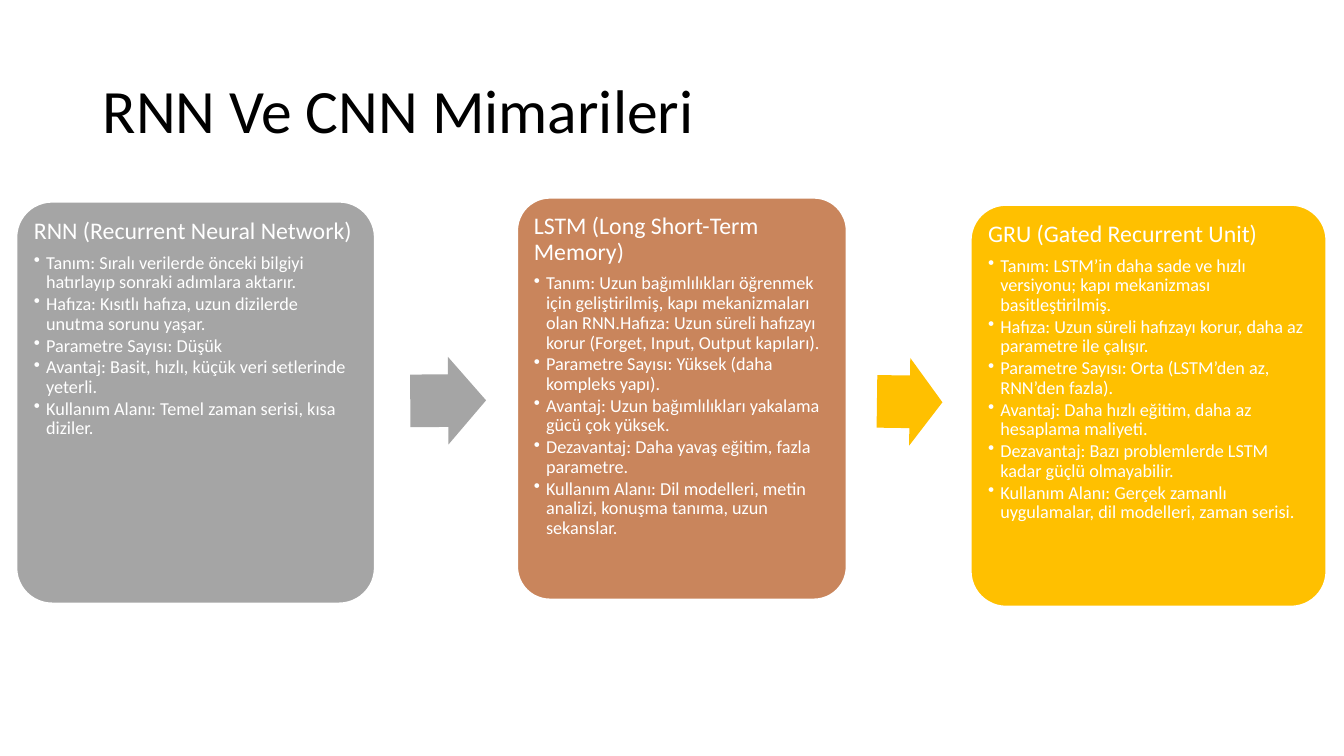
from lxml import etree
from pptx import Presentation
from pptx.dml.color import RGBColor
from pptx.enum.shapes import MSO_SHAPE
from pptx.enum.text import MSO_ANCHOR, PP_ALIGN
from pptx.oxml.ns import qn
from pptx.util import Cm, Pt

ROUNDED, ARROW = MSO_SHAPE.ROUNDED_RECTANGLE, MSO_SHAPE.RIGHT_ARROW
TOP, MIDDLE, LEFT = MSO_ANCHOR.TOP, MSO_ANCHOR.MIDDLE, PP_ALIGN.LEFT
BLACK = RGBColor(0x00, 0x00, 0x00)
WHITE = RGBColor(0xFF, 0xFF, 0xFF)
GREY = RGBColor(0xA5, 0xA5, 0xA5)
COPPER = RGBColor(0xC9, 0x85, 0x5C)
GOLD = RGBColor(0xFF, 0xC0, 0x00)
FONT = "Calibri"

TITLE = "RNN Ve CNN Mimarileri"
# Lengths in cm: left, top, width
CARDS = [
    {
        "place": (0.41, 5.08, 9.04),
        "color": GREY,
        "heading": "RNN (Recurrent Neural Network)",
        "points": [
            "Tanım: Sıralı verilerde önceki bilgiyi hatırlayıp sonraki adımlara aktarır.",
            "Hafıza: Kısıtlı hafıza, uzun dizilerde unutma sorunu yaşar.",
            "Parametre Sayısı: Düşük",
            "Avantaj: Basit, hızlı, küçük veri setlerinde yeterli.",
            "Kullanım Alanı: Temel zaman serisi, kısa diziler.",
        ],
    },
    {
        "place": (13.03, 4.98, 8.31),
        "color": COPPER,
        "heading": "LSTM (Long Short-Term Memory)",
        "points": [
            "Tanım: Uzun bağımlılıkları öğrenmek için geliştirilmiş, kapı mekanizmaları "
            "olan RNN.Hafıza: Uzun süreli hafızayı korur (Forget, Input, Output kapıları).",
            "Parametre Sayısı: Yüksek (daha kompleks yapı).",
            "Avantaj: Uzun bağımlılıkları yakalama gücü çok yüksek.",
            "Dezavantaj: Daha yavaş eğitim, fazla parametre.",
            "Kullanım Alanı: Dil modelleri, metin analizi, konuşma tanıma, uzun sekanslar.",
        ],
    },
    {
        "place": (24.46, 5.16, 8.97),
        "color": GOLD,
        "heading": "GRU (Gated Recurrent Unit)",
        "points": [
            "Tanım: LSTM’in daha sade ve hızlı versiyonu; kapı mekanizması basitleştirilmiş.",
            "Hafıza: Uzun süreli hafızayı korur, daha az parametre ile çalışır.",
            "Parametre Sayısı: Orta (LSTM’den az, RNN’den fazla).",
            "Avantaj: Daha hızlı eğitim, daha az hesaplama maliyeti.",
            "Dezavantaj: Bazı problemlerde LSTM kadar güçlü olmayabilir.",
            "Kullanım Alanı: Gerçek zamanlı uygulamalar, dil modelleri, zaman serisi.",
        ],
    },
]
# Left, top, width in cm, then rotation in degrees
ARROWS = [(10.34, 8.99, 1.91, 359.6, GREY), (22.1, 9.02, 1.65, 0.8, GOLD)]
CARD_HEIGHT, ARROW_HEIGHT = 10.13, 2.21
INSET, INDENT = 0.18, 0.31


def add_filled(page, kind, place, height, color):
    left, top, width = place
    shape = page.shapes.add_shape(kind, Cm(left), Cm(top), Cm(width), Cm(height))
    shape.shadow.inherit = False
    shape.fill.solid()
    shape.fill.fore_color.rgb = color
    shape.line.fill.background()
    return shape


def write(para, text, size, color, space_after=0):
    para.alignment = LEFT
    para.line_spacing = 0.9
    para.space_after = Pt(space_after)
    span = para.add_run()
    span.text = text
    span.font.name = FONT
    span.font.size = Pt(size)
    span.font.color.rgb = color


def add_bullet(para):
    properties = para._p.get_or_add_pPr()
    properties.set("marL", str(Cm(INDENT)))
    properties.set("indent", str(-Cm(INDENT)))
    etree.SubElement(properties, qn("a:buChar"), char="•")


def add_card(page, card):
    box = add_filled(page, ROUNDED, card["place"], CARD_HEIGHT, card["color"])
    box.adjustments[0] = 0.1
    box.line.color.rgb = WHITE
    box.line.width = Pt(1.5)
    frame = box.text_frame
    frame.word_wrap = True
    frame.vertical_anchor = TOP
    frame.margin_left = frame.margin_right = Cm(INSET)
    frame.margin_top = frame.margin_bottom = Cm(INSET)
    write(frame.paragraphs[0], card["heading"], 17, WHITE, 6)
    for point in card["points"]:
        para = frame.add_paragraph()
        write(para, point, 13, WHITE, 1.5)
        add_bullet(para)


def main():
    deck = Presentation()
    deck.slide_width, deck.slide_height = Cm(33.87), Cm(19.05)
    page = deck.slides.add_slide(deck.slide_layouts[6])

    title = page.shapes.add_textbox(Cm(2.34), Cm(1.02), Cm(29.21), Cm(3.68)).text_frame
    title.word_wrap = True
    title.vertical_anchor = MIDDLE
    write(title.paragraphs[0], TITLE, 44, BLACK)

    for card in CARDS:
        add_card(page, card)
    for *place, rotation, color in ARROWS:
        arrow = add_filled(page, ARROW, place, ARROW_HEIGHT, color)
        arrow.adjustments[0] = 0.6
        arrow.adjustments[1] = 0.5
        arrow.rotation = rotation

    deck.save("out.pptx")


if __name__ == "__main__":
    main()
